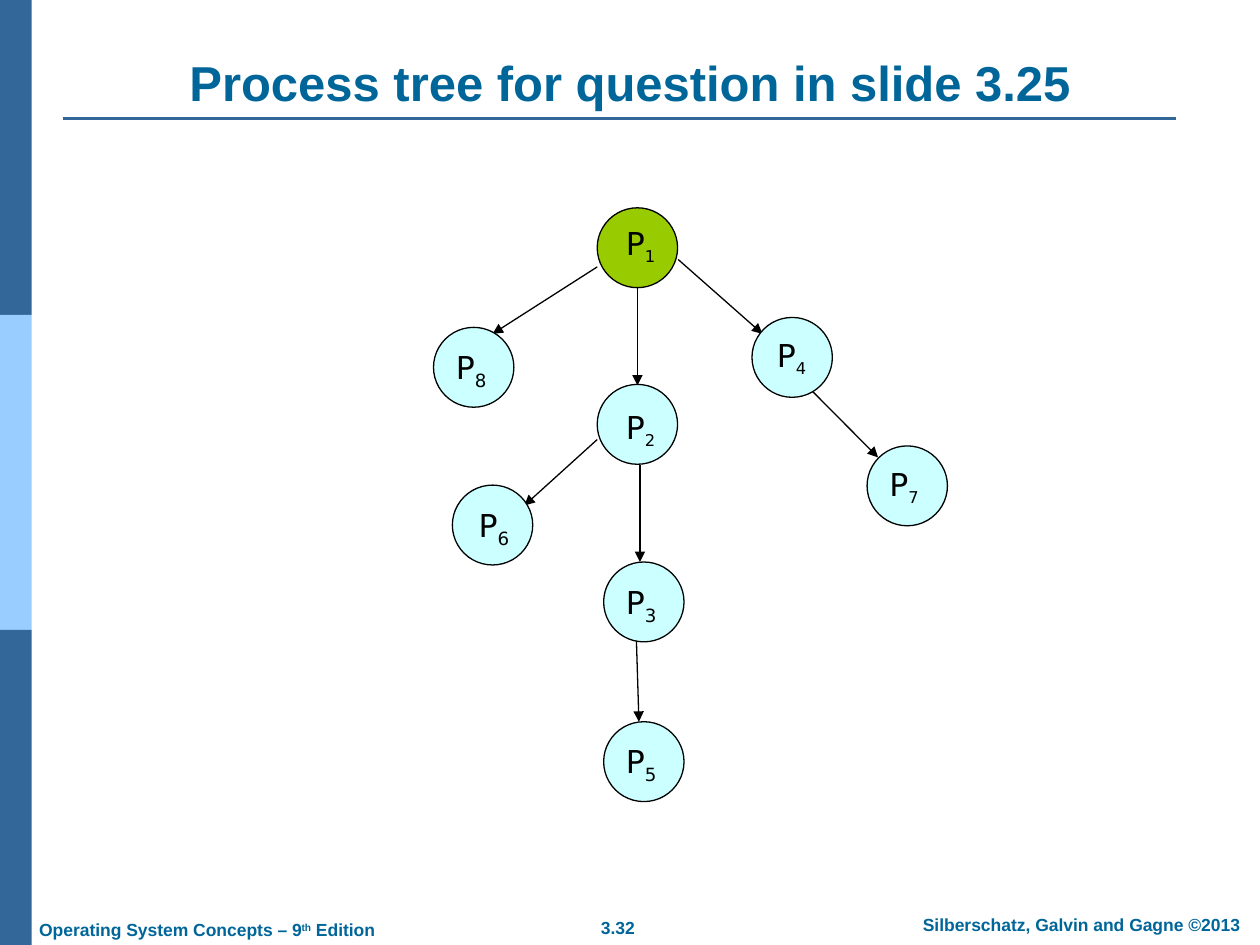
from lxml import etree
from pptx import Presentation
from pptx.dml.color import RGBColor
from pptx.enum.shapes import MSO_CONNECTOR, MSO_SHAPE
from pptx.enum.text import MSO_ANCHOR, MSO_AUTO_SIZE, PP_ALIGN
from pptx.oxml.ns import qn
from pptx.util import Cm, Pt

OVAL, RECT = MSO_SHAPE.OVAL, MSO_SHAPE.RECTANGLE
STRAIGHT = MSO_CONNECTOR.STRAIGHT
LEFT, CENTER = PP_ALIGN.LEFT, PP_ALIGN.CENTER
BOTTOM, NO_FIT = MSO_ANCHOR.BOTTOM, MSO_AUTO_SIZE.NONE

BLUE, SKY, TEAL, BLACK = "336699", "99CCFF", "006699", "000000"
GREEN, PALE = "99CC00", "CCFFFF"
NODE_W, NODE_H = 1.62, 1.61

NODES = [
    ("1", 3.3, 0, 0.33, 0.2, 16, GREEN),
    ("2", 3.3, 3.56, 0.33, 0.36, 16, PALE),
    ("3", 3.43, 7.14, 0.2, 0.3, 18, PALE),
    ("4", 6.42, 2.21, 0.25, 0.25, 16, PALE),
    ("5", 3.43, 10.36, 0.2, 0.28, 18, PALE),
    ("6", 0.38, 5.59, 0.28, 0.3, 18, PALE),
    ("7", 8.74, 4.8, 0.2, 0.25, 16, PALE),
    ("8", 0, 2.41, 0.2, 0.3, 18, PALE),
]
EDGES = [
    (4.11, 1.6, 4.11, 3.58),
    (4.16, 5.18, 4.16, 7.14),
    (4.93, 1.04, 6.63, 2.54),
    (3.3, 1.19, 1.19, 2.54),
    (4.09, 8.74, 4.14, 10.36),
    (3.3, 4.67, 1.83, 6),
    (7.62, 3.68, 8.96, 5.03),
]


def rgb(color):
    """Turn a hex string into a colour."""
    return RGBColor.from_string(color)


def add_run(p, text, size, font, color, bold=False, baseline=None):
    """Append one formatted run to a paragraph."""
    r = p.add_run()
    r.text = text
    r.font.size, r.font.name, r.font.bold = Pt(size), font, bold
    r.font.color.rgb = rgb(color)
    if baseline:
        r.font._element.set("baseline", str(baseline * 1000))


def add_text(s, x, y, w, h, align=LEFT):
    """Add a wrapping text box and return its first paragraph."""
    tf = s.shapes.add_textbox(Cm(x), Cm(y), Cm(w), Cm(h)).text_frame
    tf.word_wrap = True
    p = tf.paragraphs[0]
    p.alignment = align
    return p


def add_filled(s, kind, x, y, w, h, fill, line=None):
    """Add a filled preset shape, outlined if a line colour is given."""
    sp = s.shapes.add_shape(kind, Cm(x), Cm(y), Cm(w), Cm(h))
    sp.shadow.inherit = False
    sp.fill.solid()
    sp.fill.fore_color.rgb = rgb(fill)
    if line:
        sp.line.color.rgb = rgb(line)
        sp.line.width = Pt(0.75)
    else:
        sp.line.fill.background()


def add_line(s, x1, y1, x2, y2, color, width, arrow=False):
    """Add a straight connector, with an arrowhead at its end on request."""
    c = s.shapes.add_connector(STRAIGHT, Cm(x1), Cm(y1), Cm(x2), Cm(y2))
    c.line.color.rgb = rgb(color)
    c.line.width = Pt(width)
    if arrow:
        etree.SubElement(c.line._get_or_add_ln(), qn("a:tailEnd"), type="triangle")
    etree.SubElement(c._element.spPr, qn("a:effectLst"))


def add_sidebar(s, x, y, w, h):
    """Stack three equal colour bands down the box."""
    band = h / 3
    for i, color in enumerate((BLUE, SKY, BLUE)):
        add_filled(s, RECT, x, y + i * band, w, band, color)


def add_title(s, text, x, y, w, h):
    """Fill the title placeholder and rule it off below."""
    sp = s.shapes.title
    sp.left, sp.top, sp.width, sp.height = Cm(x), Cm(y), Cm(w), Cm(h)
    tf = sp.text_frame
    tf.auto_size, tf.vertical_anchor = NO_FIT, BOTTOM
    p = tf.paragraphs[0]
    p.alignment = CENTER
    add_run(p, text, 28, "Arial", TEAL, bold=True)
    add_line(s, x, y + h + 0.01, x + w - 0.43, y + h + 0.01, BLUE, 1.5)


def add_footer(s, x, y, w, h):
    """Place the book title, page number and copyright line along the box."""
    p = add_text(s, x, y + 0.1, 8.5, h)
    for text, baseline in (("Operating System Concepts – 9", None), ("th", 30), (" Edition", None)):
        add_run(p, text, 10, "Arial", TEAL, True, baseline)
    p = add_text(s, x + 10.67, y + 0.07, 2.49, h, CENTER)
    add_run(p, "3.32", 10, "Arial", TEAL, True)
    p = add_text(s, x + w - 7.54, y, 7.54, h, CENTER)
    add_run(p, "Silberschatz, Galvin and Gagne ©2013", 10, "Arial", TEAL, True)


def add_tree(s, x, y):
    """Draw the process tree with its top left corner at the given point."""
    for x1, y1, x2, y2 in EDGES:
        add_line(s, x + x1, y + y1, x + x2, y + y2, BLACK, 0.75, arrow=True)
    for number, left, top, dx, dy, size, fill in NODES:
        add_filled(s, OVAL, x + left, y + top, NODE_W, NODE_H, fill, BLACK)
        p = add_text(s, x + left + dx, y + top + dy, 1.5, 1.1)
        add_run(p, "P", 18, "DejaVu Sans", BLACK)
        add_run(p, number, size, "DejaVu Sans", BLACK, baseline=-25)


def main():
    """Build the slide and save it."""
    prs = Presentation()
    prs.slide_width, prs.slide_height = Cm(25.4), Cm(19.05)
    s = prs.slides.add_slide(prs.slide_layouts.get_by_name("Title Only"))
    add_sidebar(s, 0, 0, 0.64, 19.05)
    add_title(s, "Process tree for question in slide 3.25", 1.27, 0.78, 22.86, 1.6)
    add_footer(s, 0.54, 18.3, 25.03, 0.69)
    add_tree(s, 8.74, 4.19)
    prs.save("out.pptx")


if __name__ == "__main__":
    main()
